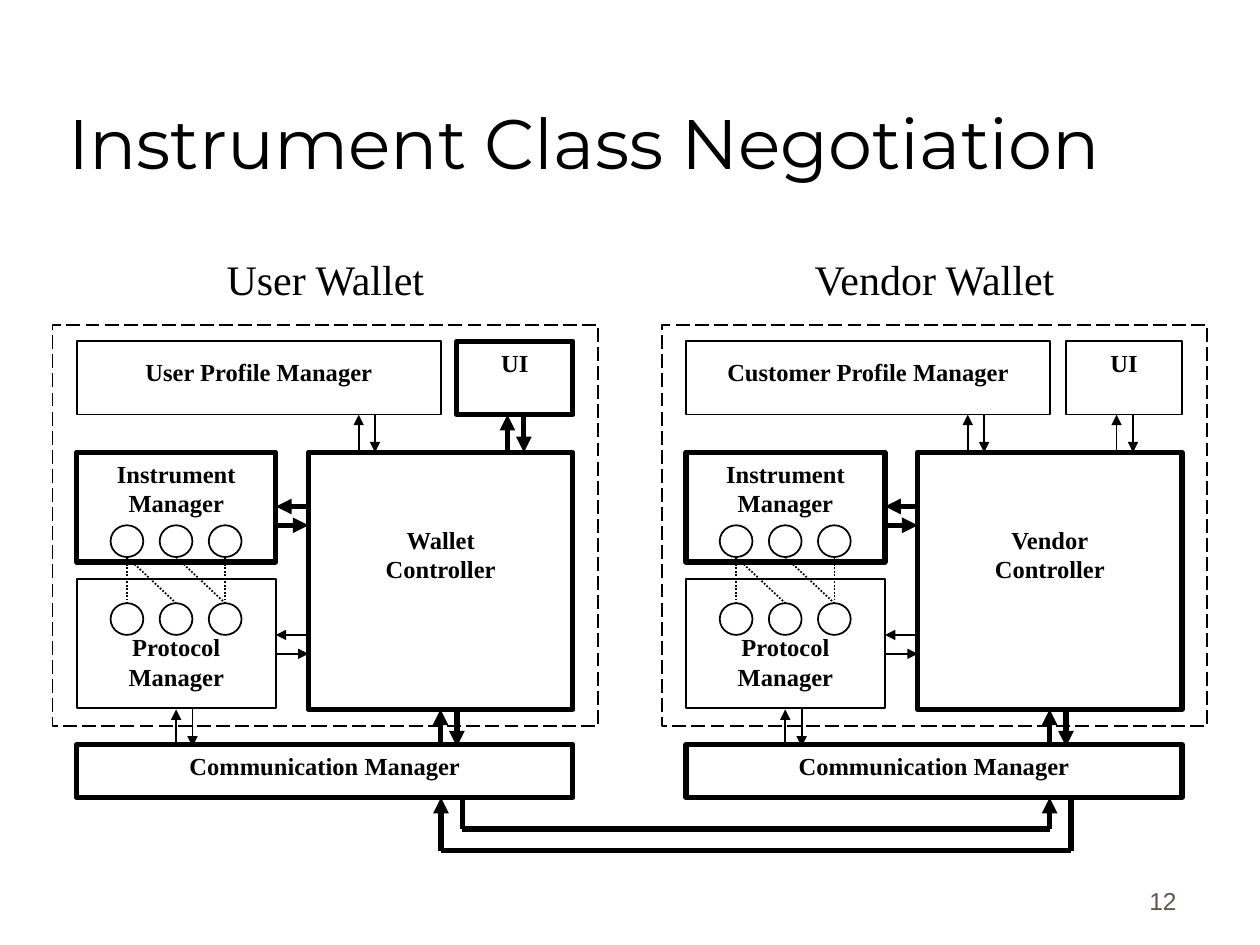
import pptx
import pptx.util
import pptx.dml.color
import pptx.enum.dml
import pptx.enum.shapes
import pptx.enum.text
import pptx.oxml
import pptx.oxml.ns

Cm = pptx.util.Cm
Pt = pptx.util.Pt
Kind = pptx.enum.shapes.MSO_SHAPE
Dash = pptx.enum.dml.MSO_LINE
Align = pptx.enum.text.PP_ALIGN
Anchor = pptx.enum.text.MSO_ANCHOR

BLACK = pptx.dml.color.RGBColor(0x00, 0x00, 0x00)
GREY = pptx.dml.color.RGBColor(0x5E, 0x57, 0x4E)
SERIF = "Times New Roman"
THIN, THICK = 1, 3
NS = pptx.oxml.ns.nsdecls("a")


def style(para, size, name=SERIF, color=BLACK, bold=False, align=Align.CENTER):
    para.alignment = align
    para.font.size = Pt(size)
    para.font.name = name
    para.font.color.rgb = color
    para.font.bold = bold


def label(slide, text, box, size, wrap=True, anchor=Anchor.TOP, **look):
    item = slide.shapes.add_textbox(*map(Cm, box))
    frame = item.text_frame
    frame.word_wrap = wrap
    frame.vertical_anchor = anchor
    frame.text = text
    style(frame.paragraphs[0], size, **look)


def outline(slide, kind, box, width=THIN):
    shape = slide.shapes.add_shape(kind, *map(Cm, box))
    shape.shadow.inherit = False
    shape.fill.background()
    shape.line.color.rgb = BLACK
    shape.line.width = Pt(width)
    return shape


def block(slide, text, box, width=THIN, drop=0):
    frame = outline(slide, Kind.RECTANGLE, box, width).text_frame
    frame.word_wrap = True
    frame.vertical_anchor = Anchor.TOP
    frame.margin_top = Cm(0.13 + drop)
    frame.text = text
    for para in frame.paragraphs:
        style(para, 14, bold=True)


def line(slide, start, end, width=THIN, head=False, dash=None):
    link = slide.shapes.add_connector(
        pptx.enum.shapes.MSO_CONNECTOR.STRAIGHT, *map(Cm, (*start, *end)))
    link.line.color.rgb = BLACK
    link.line.width = Pt(width)
    if dash:
        link.line.dash_style = dash
    props = link.element.spPr
    if head:
        props.find(pptx.oxml.ns.qn("a:ln")).append(
            pptx.oxml.parse_xml(f'<a:headEnd {NS} type="triangle"/>'))
    props.append(pptx.oxml.parse_xml(f"<a:effectLst {NS}/>"))


def upright(slide, x, top, low, width):
    line(slide, (x, top), (x, low), width, True)
    line(slide, (x + 0.33, low), (x + 0.33, top), width, True)


def level(slide, left, right, y, width):
    line(slide, (left, y), (right, y), width, True)
    line(slide, (right, y + 0.38), (left, y + 0.38), width, True)


def mesh(slide, left, top):
    wide, high, step, drop = 0.66, 0.64, 0.99, 1.57
    for row in range(2):
        for col in range(3):
            outline(slide, Kind.OVAL,
                    (left + col * step, top + row * drop, wide, high))
    mid = left + wide / 2
    for start, end in ((0, 0), (0, 1), (1, 2), (2, 2)):
        line(slide, (mid + start * step, top + high),
             (mid + end * step, top + drop), dash=Dash.ROUND_DOT)


def wallet(slide, left, top, head, span, user, owner, weight):
    wide = 11
    label(slide, head, (left + (wide - span) / 2, top - 1.57, span, 1.27),
          24, wrap=False)
    frame = outline(slide, Kind.RECTANGLE, (left, top, wide, 8.08))
    frame.line.dash_style = Dash.LONG_DASH

    blocks = (
        (f"{user} Profile Manager", 0.49, 0.33, 7.34, 1.48, THIN, 0.18),
        ("UI", 8.15, 0.33, 2.34, 1.48, weight, 0),
        ("Instrument Manager", 0.49, 2.57, 4.01, 2.21, THICK, 0),
        ("Protocol\nManager", 0.49, 5.13, 4.01, 2.6, THIN, 0.94),
        (f"{owner}\nController", 5.16, 2.57, 5.33, 5.18, THICK, 1.33),
        ("Communication Manager", 0.49, 8.46, 10, 1.07, THICK, 0),
    )
    for text, x, y, w, h, width, drop in blocks:
        block(slide, text, (left + x, top + y, w, h), width, drop)

    for x, y, low, width in ((6.17, 1.81, 2.57, THIN),
                             (9.17, 1.81, 2.57, weight),
                             (2.49, 7.75, 8.5, THIN),
                             (7.82, 7.75, 8.5, THICK)):
        upright(slide, left + x, top + y, top + low, width)
    for y, width in ((3.66, THICK), (6.25, THIN)):
        level(slide, left + 4.5, left + 5.16, top + y, width)
    mesh(slide, left + 1.17, top + 4.04)


def bridge(slide, left, top):
    for start, end, drop in ((0.43, 12.27, 0.63), (12.7, 0, 1.07)):
        near, far, low = left + start, left + end, top + drop
        line(slide, (near, top), (near, low), THICK)
        line(slide, (near, low), (far, low), THICK)
        line(slide, (far, top), (far, low), THICK, True)


def title(slide, text, box):
    item = slide.shapes.title
    item.left, item.top, item.width, item.height = map(Cm, box)
    frame = item.text_frame
    frame.text = text
    frame.auto_size = pptx.enum.text.MSO_AUTO_SIZE.NONE
    frame.vertical_anchor = Anchor.BOTTOM
    style(frame.paragraphs[0], 40, "Montserrat", align=Align.LEFT)


def main():
    deck = pptx.Presentation()
    deck.slide_width, deck.slide_height = Cm(25.4), Cm(19.05)
    slide = deck.slides.add_slide(deck.slide_layouts[5])
    title(slide, "Instrument Class Negotiation", (1.12, 0.64, 24.28, 3.18))
    wallet(slide, 1.06, 6.55, "User Wallet", 4.57, "User", "Wallet", THICK)
    wallet(slide, 13.34, 6.55, "Vendor Wallet", 5.51, "Customer", "Vendor", THIN)
    bridge(slide, 8.89, 16.08)
    label(slide, "12", (18.69, 17.3, 5.28, 1.27), 14, anchor=Anchor.BOTTOM,
          name="Arial", color=GREY, align=Align.RIGHT)
    deck.save("out.pptx")


if __name__ == "__main__":
    main()
